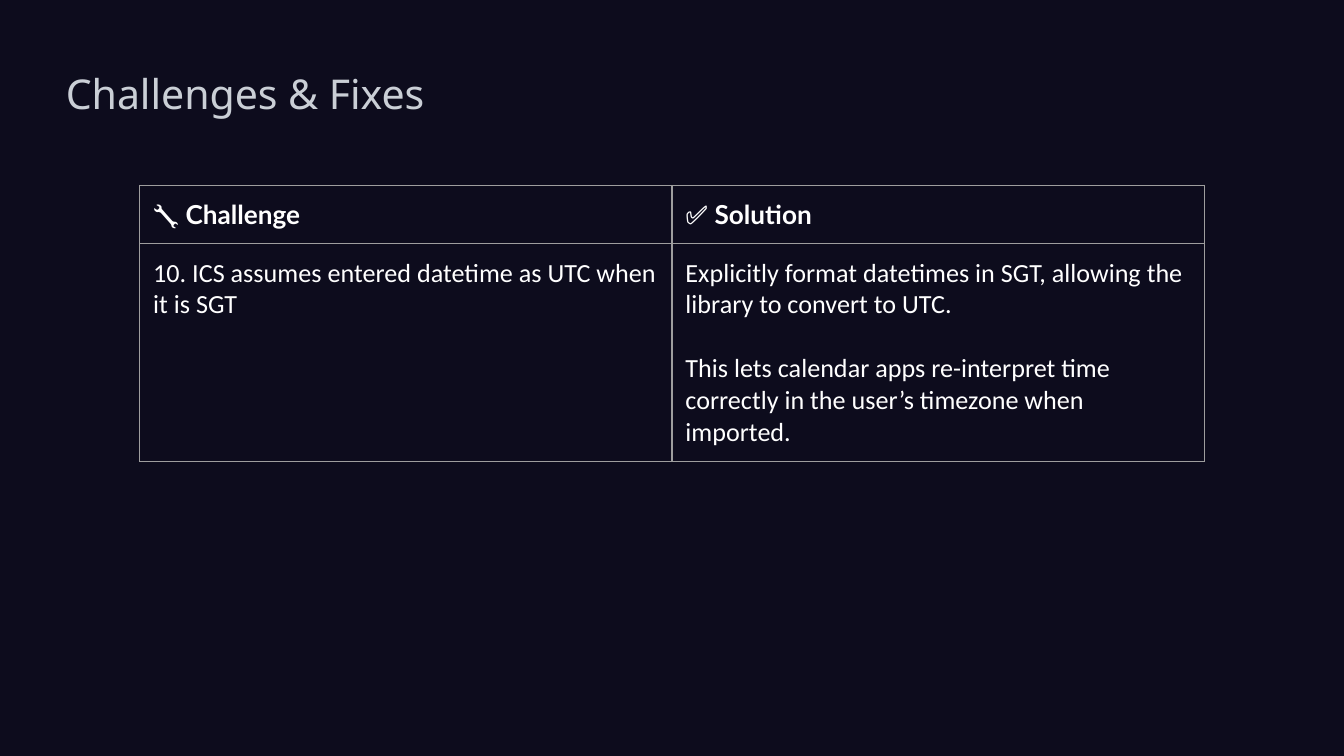
from lxml import etree
from pptx import Presentation
from pptx.dml.color import RGBColor
from pptx.enum.text import MSO_ANCHOR
from pptx.oxml.ns import qn
from pptx.util import Inches, Pt

MIDDLE = MSO_ANCHOR.MIDDLE
BACKGROUND, TITLE_COLOUR, TEXT_COLOUR, BORDER = "0D0C1D", "CACFD6", "FFFFFF", "9E9E9E"
PAGE_WIDTH = 10
PAGE_HEIGHT = PAGE_WIDTH * 9 / 16
BODY_LINE = 17

HEADINGS = ["🔧 Challenge", "✅ Solution"]
ANSWERS = [
    ["10. ICS assumes entered datetime as UTC when it is SGT"],
    [
        "Explicitly format datetimes in SGT, allowing the library to convert to UTC.",
        "This lets calendar apps re-interpret time correctly in the user’s timezone when imported.",
    ],
]


def colour(value):
    return RGBColor.from_string(value)


def set_font(para, name, size, value, bold=False):
    font = para.font
    font.name, font.size, font.bold = name, Pt(size), bold
    font.color.rgb = colour(value)


def add_title(page, text, left, top, width, height):
    box = page.shapes.add_textbox(Inches(left), Inches(top), Inches(width), Inches(height))
    frame = box.text_frame
    frame.word_wrap = True
    frame.vertical_anchor = MIDDLE
    frame.margin_left = frame.margin_right = Inches(0.05)
    frame.margin_top = frame.margin_bottom = Inches(0.02)
    frame.text = text
    set_font(frame.paragraphs[0], "Noto Sans", 22, TITLE_COLOUR)


def add_borders(cell, value, points):
    properties = cell._tc.get_or_add_tcPr()
    for position, side in enumerate(("a:lnL", "a:lnR", "a:lnT", "a:lnB")):
        line = etree.Element(qn(side), w=str(Pt(points)))
        fill = etree.SubElement(line, qn("a:solidFill"))
        etree.SubElement(fill, qn("a:srgbClr"), val=value)
        properties.insert(position, line)


def fill_cell(cell, texts, font_name, bold):
    cell.fill.background()
    cell.margin_left = cell.margin_right = Inches(0.1)
    cell.margin_top = cell.margin_bottom = Inches(0.1)
    add_borders(cell, BORDER, 0.75)
    cell.text = "\n".join(texts)
    for index, para in enumerate(cell.text_frame.paragraphs):
        set_font(para, font_name, 14, TEXT_COLOUR, bold)
        if index:
            para.space_before = Pt(BODY_LINE)


def add_fixes_table(page, left, top, width, row_heights):
    frame = page.shapes.add_table(
        len(row_heights), len(HEADINGS), Inches(left), Inches(top),
        Inches(width), Inches(sum(row_heights)),
    )
    table = frame.table
    table.first_row = table.horz_banding = False
    for row, height in zip(table.rows, row_heights):
        row.height = Inches(height)
    for column, (heading, answer) in enumerate(zip(HEADINGS, ANSWERS)):
        fill_cell(table.cell(0, column), [heading], "Lato", True)
        fill_cell(table.cell(1, column), answer, "Calibri", False)


def main():
    deck = Presentation()
    deck.slide_width, deck.slide_height = Inches(PAGE_WIDTH), Inches(PAGE_HEIGHT)
    page = deck.slides.add_slide(deck.slide_layouts[6])
    page.background.fill.solid()
    page.background.fill.fore_color.rgb = colour(BACKGROUND)
    add_title(page, "Challenges & Fixes", 0.44, 0.38, 8.37, 0.62)
    add_fixes_table(page, 1.04, 1.38, 7.92, [0.43, 1.62])
    deck.save("out.pptx")


if __name__ == "__main__":
    main()
